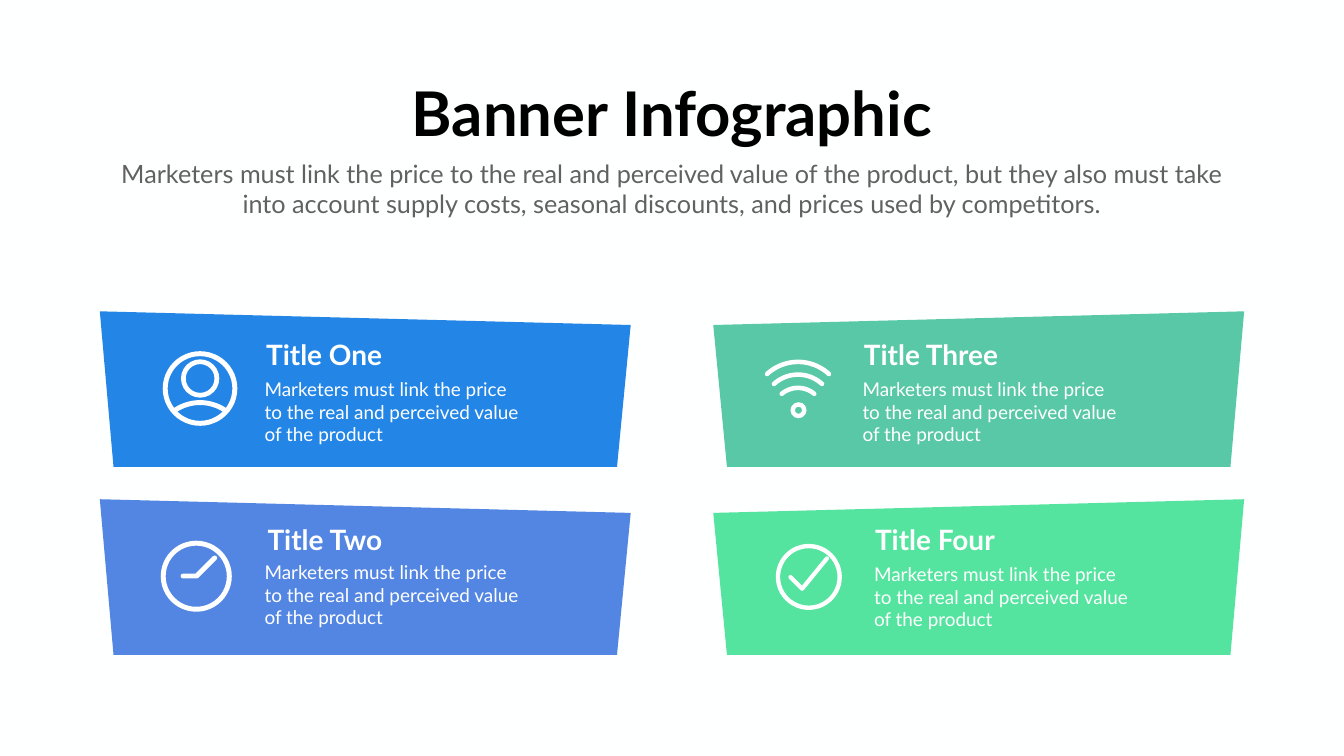
"""Build a four-banner infographic slide with icons, titles and captions."""
from math import asin, cos, sin

from lxml.etree import SubElement
from pptx import Presentation
from pptx.dml.color import RGBColor
from pptx.enum.shapes import MSO_SHAPE as Preset
from pptx.enum.text import MSO_AUTO_SIZE as AutoSize, PP_ALIGN as Align
from pptx.oxml.ns import qn
from pptx.util import Cm, Pt

BACKDROP = RGBColor(0xFE, 0xFF, 0xFF)
WHITE = RGBColor(0xFF, 0xFF, 0xFF)
BLACK = RGBColor(0x00, 0x00, 0x00)
GRAY = RGBColor(0x61, 0x61, 0x61)
BLUE = RGBColor(0x23, 0x86, 0xE7)
INDIGO = RGBColor(0x53, 0x86, 0xE3)
TEAL = RGBColor(0x59, 0xC8, 0xA6)
GREEN = RGBColor(0x54, 0xE4, 0x9F)

SLIDE_WIDTH = 67.72
BANNER_LEFT, BANNER_WIDTH, BANNER_HEIGHT, SLANT = 5.03, 26.75, 7.84, 0.69
UPPER, LOWER = 15.69, 25.16

HEADLINE = {"name": "Lato", "size": Pt(88), "bold": True}
SUBTITLE = {"name": "Lato", "size": Pt(36), "bold": False}
BANNER_TITLE = {"name": "Lato", "size": Pt(40), "bold": True}
CAPTION = {"name": "Lato", "size": Pt(27), "bold": False}
CAPTION_TEXT = "Marketers must link the price to the real and perceived value of the product"

deck = Presentation()
deck.slide_width, deck.slide_height = Cm(SLIDE_WIDTH), Cm(38.1)
slide = deck.slides.add_slide(deck.slide_layouts[6])
slide.background.fill.solid()
slide.background.fill.fore_color.rgb = BACKDROP


def trace(points, close):
    corners = [(Cm(x), Cm(y)) for x, y in points]
    builder = slide.shapes.build_freeform(*corners[0])
    builder.add_line_segments(corners[1:], close=close)
    outline = builder.convert_to_shape()
    outline.shadow.inherit = False
    return outline


def write(text, box, style, color, align=Align.LEFT, wrap=False):
    frame = slide.shapes.add_textbox(*map(Cm, box)).text_frame
    frame.word_wrap = wrap
    frame.auto_size = AutoSize.SHAPE_TO_FIT_TEXT
    paragraph = frame.paragraphs[0]
    paragraph.alignment = align
    run = paragraph.add_run()
    run.text = text
    for key, value in style.items():
        setattr(run.font, key, value)
    run.font.color.rgb = color


for top, mirrored, color in [
    (UPPER, False, BLUE),
    (LOWER, False, INDIGO),
    (UPPER, True, TEAL),
    (LOWER, True, GREEN),
]:
    right, bottom = BANNER_LEFT + BANNER_WIDTH, top + BANNER_HEIGHT
    corners = [
        (right - SLANT, bottom),
        (BANNER_LEFT + SLANT, bottom),
        (BANNER_LEFT, top),
        (right, top + SLANT),
    ]
    if mirrored:
        corners = [(SLIDE_WIDTH - x, y) for x, y in corners]
    banner = trace(corners, close=True)
    banner.fill.solid()
    banner.fill.fore_color.rgb = color
    banner.line.fill.background()

# user badge, head, clock, check badge, signal dot
for left, top, size, thickness in [
    (8.2, 17.7, 3.76, 0.25),
    (9.12, 18.11, 1.93, 0.24),
    (8.1, 27.25, 3.58, 0.25),
    (39.09, 27.41, 3.33, 0.22),
    (39.83, 20.27, 0.81, 0.23),
]:
    ring = slide.shapes.add_shape(Preset.DONUT, Cm(left), Cm(top), Cm(size), Cm(size))
    ring.adjustments[0] = thickness / size
    ring.shadow.inherit = False
    ring.fill.solid()
    ring.fill.fore_color.rgb = WHITE
    ring.line.fill.background()

clock_hands = [(9.22, 29.03), (9.91, 29.03), (10.82, 28.12)]
check_mark = [(39.83, 29.08), (40.42, 29.67), (41.67, 28.14)]
strokes = [(clock_hands, 7), (check_mark, 6)]

for center, top, half_width, rise, weight in [
    (10.08, 20.29, 1.28, 0.4, 7),
    (40.21, 18.24, 1.56, 0.61, 6.5),
    (40.21, 18.88, 1.21, 0.47, 6.5),
    (40.21, 19.55, 0.82, 0.3, 6.5),
]:
    radius = (half_width**2 + rise**2) / (2 * rise)
    sweep = asin(half_width / radius)
    angles = [sweep * step / 12 for step in range(-12, 13)]
    arc = [(center + radius * sin(a), top + radius * (1 - cos(a))) for a in angles]
    strokes.append((arc, weight))

for points, weight in strokes:
    stroke = trace(points, close=False)
    stroke.fill.background()
    stroke.line.color.rgb = WHITE
    stroke.line.width = Pt(weight)
    pen = stroke.element.spPr.find(qn("a:ln"))
    pen.set("cap", "rnd")
    SubElement(pen, qn("a:round"))

write("Banner Infographic", (20.17, 3.63, 27.38, 4.01), HEADLINE, BLACK, Align.CENTER)
write(
    "Marketers must link the price to the real and perceived value of the product, "
    "but they also must take into account supply costs, seasonal discounts, "
    "and prices used by competitors.",
    (5.64, 7.85, 56.41, 3.33), SUBTITLE, GRAY, Align.CENTER, wrap=True,
)

for title, left, top, width, caption_left, caption_top in [
    ("Title One", 13.16, 16.89, 6.53, 13.08, 18.9),
    ("Title Two", 13.23, 26.21, 6.53, 13.08, 28.12),
    ("Title Three", 43.28, 16.89, 7.67, 43.21, 18.9),
    ("Title Four", 43.84, 26.21, 7.16, 43.79, 28.22),
]:
    write(title, (left, top, width, 1.96), BANNER_TITLE, WHITE)
    write(CAPTION_TEXT, (caption_left, caption_top, 13.39, 3.71), CAPTION, WHITE, wrap=True)

deck.save("out.pptx")
